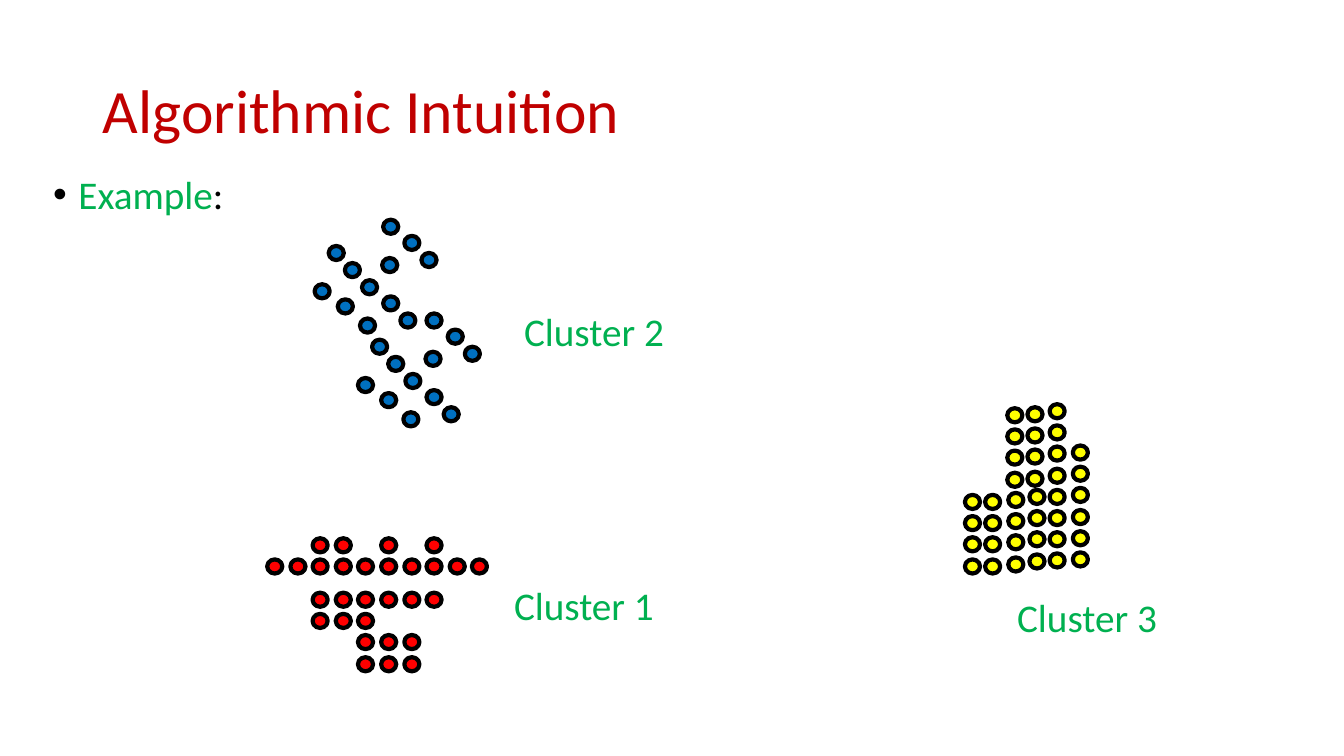
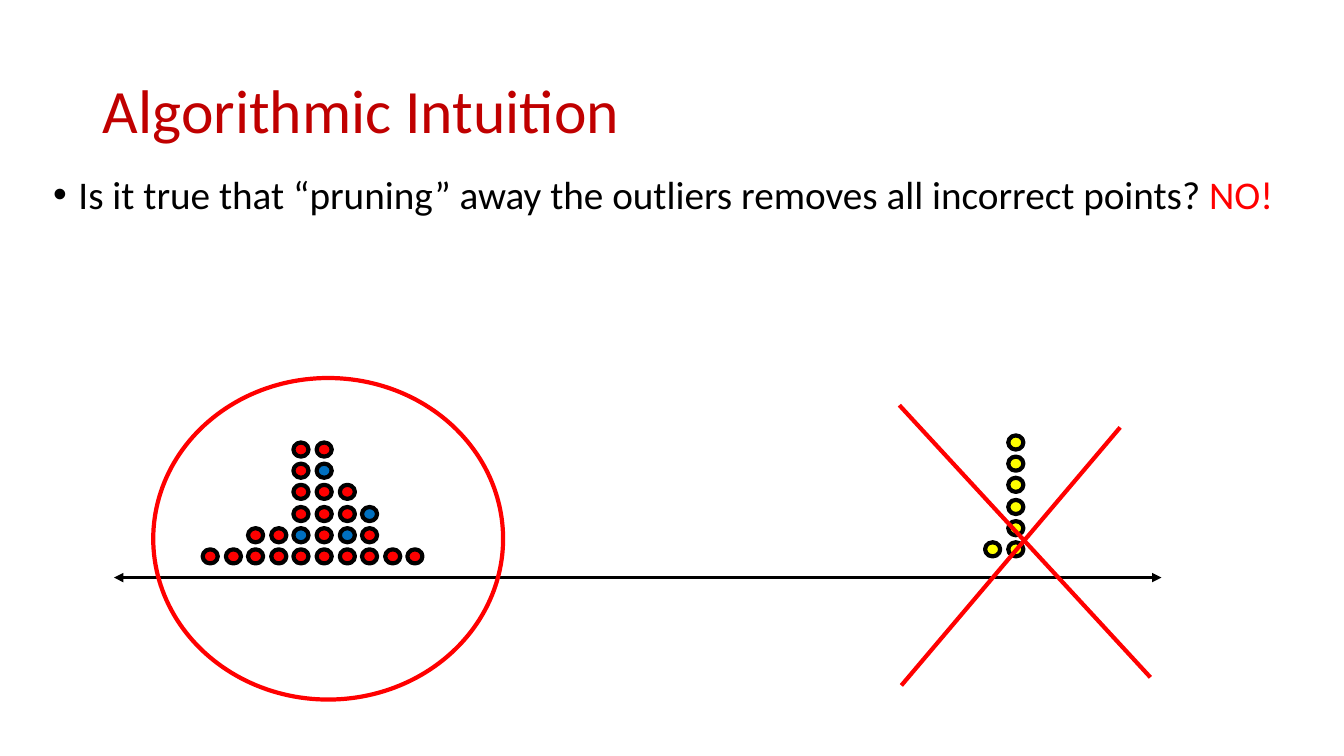
from pptx import Presentation
from pptx.dml.color import RGBColor
from pptx.enum.shapes import MSO_CONNECTOR, MSO_SHAPE
from pptx.enum.text import MSO_ANCHOR, MSO_AUTO_SIZE, PP_ALIGN
from pptx.oxml.ns import qn
from pptx.util import Emu, Pt
from lxml.etree import SubElement

PX = 9144  # 100 px to the inch
TITLE = "Algorithmic Intuition"
COLS = {"r": "FF0000", "b": "0070C0", "y": "FFFF00", "black": "000000",
        "green": "00B050", "title": "C00000"}

# Dot size and the pitch of the dot grids
WIDE, HIGH = 15, 14
STEP_X, STEP_Y = 22.6, 21.2


def px(*vals):
    return [Emu(round(val * PX)) for val in vals]


def hue(name):
    return RGBColor.from_string(COLS[name])


def apply(item, **vals):
    for key, val in vals.items():
        setattr(item, key, val)


class Deck:
    """Holds the shared style and the current slide."""

    font = {"name": "Calibri"}
    frame = {"word_wrap": True, "auto_size": MSO_AUTO_SIZE.NONE}

    def __init__(self):
        self.prs = Presentation()
        apply(self.prs, slide_width=px(1333)[0], slide_height=px(750)[0])

    def start(self, title):
        self.slide = self.prs.slides.add_slide(self.prs.slide_layouts[5])
        self.shapes = self.slide.shapes
        box = self.shapes.title
        left, top, width, height = px(92, 40, 1150, 145)
        apply(box, left=left, top=top, width=width, height=height)
        apply(box.text_frame, vertical_anchor=MSO_ANCHOR.MIDDLE, **self.frame)
        self.words(box, [(title, "title")], 44, 0.9)

    def words(self, box, runs, size, space=1.0):
        para = box.text_frame.paragraphs[0]
        apply(para, alignment=PP_ALIGN.LEFT, line_spacing=space)
        for text, tint in runs:
            run = para.add_run()
            run.text = text
            apply(run.font, size=Pt(size), **self.font)
            run.font.color.rgb = hue(tint)
        return para

    def text(self, area, runs, space=1.0):
        box = self.shapes.add_textbox(*px(*area))
        apply(box.text_frame, **self.frame)
        return self.words(box, runs, 28, space)

    def bullet(self, *runs):
        para = self.text((43, 169, 1247, 560), runs, 0.9)
        props = para._p.get_or_add_pPr()
        dent = px(25)[0]
        props.set("marL", str(dent))
        props.set("indent", str(-dent))
        tint = SubElement(props, qn("a:buClr"))
        SubElement(tint, qn("a:srgbClr"), val=COLS["black"])
        SubElement(props, qn("a:buFont"), typeface="Arial")
        SubElement(props, qn("a:buChar"), char="•")

    def label(self, left, top, text):
        self.text((left, top, 230, 57), [(text, "green")])

    def oval(self, area, edge, fill=None):
        oval = self.shapes.add_shape(MSO_SHAPE.OVAL, *px(*area))
        oval.shadow.inherit = False
        if fill:
            oval.fill.solid()
            oval.fill.fore_color.rgb = hue(fill)
        else:
            oval.fill.background()
        oval.line.color.rgb = hue(edge)
        oval.line.width = Pt(3)

    def dot(self, left, top, fill):
        self.oval((left, top, WIDE, HIGH), "black", fill)

    def grid(self, left, top, rows):
        """Draw one dot per letter; a full stop leaves a gap."""
        for row, line in enumerate(rows):
            for col, mark in enumerate(line):
                if mark != ".":
                    self.dot(left + round(col * STEP_X),
                             top + round(row * STEP_Y), mark)

    def line(self, ends, tint, width, heads=False):
        line = self.shapes.add_connector(MSO_CONNECTOR.STRAIGHT, *px(*ends))
        line.line.color.rgb = hue(tint)
        line.line.width = Pt(width)
        props = line._element.spPr
        if heads:
            for tag in ("a:headEnd", "a:tailEnd"):
                SubElement(props.find(qn("a:ln")), qn(tag), type="triangle")
        SubElement(props, qn("a:effectLst"))


def clusters(deck):
    deck.start(TITLE)
    deck.bullet(("Example", "green"), (":", "black"))

    # Red cluster: two blocks of rows
    deck.grid(265, 534, ["..rr.r.r", "rrrrrrrrrr"])
    deck.grid(265, 588, ["..rrrrrr", "..rrr", "....rrr", "....rrr"])

    # Blue cluster: one pattern drawn twice
    spots = [(312, 282), (335, 297), (357, 316), (380, 294), (397, 311),
             (326, 244), (342, 261), (359, 278), (379, 256), (401, 234),
             (418, 251), (380, 218)]
    for right, down in ((0, 0), (43, 93)):
        for left, top in spots:
            deck.dot(left + right, top + down, "b")

    # Yellow cluster: columns as left, top, count
    for left, top, count in ((957, 491, 4), (977, 491, 4), (1000, 489, 4),
                             (999, 405, 4), (1019, 404, 4), (1021, 486, 4),
                             (1041, 401, 8), (1064, 442, 6)):
        deck.grid(left, top, "y" * count)

    # Labels
    deck.label(500, 572, "Cluster 1")
    deck.label(510, 300, "Cluster 2")
    deck.label(999, 584, "Cluster 3")


def pruning(deck):
    deck.start(TITLE)
    deck.bullet(("Is it true that “pruning” away the outliers removes all "
                 "incorrect points? ", "black"), ("NO!", "r"))

    # Axis and stacked dots
    deck.line((113, 573, 1152, 573), "black", 2.25, heads=True)
    deck.grid(201, 439, ["....rr", "....rb", "....rrr", "....rrrb",
                         "..rrbrbr", "rrrrrrrrrr"])
    deck.grid(977, 432, [".y"] * 5 + ["yy"])

    # Kept points are ringed, outliers crossed out
    deck.line((1111, 424, 894, 680), "r", 3)
    deck.oval((152, 375, 347, 319), "r")
    deck.line((892, 402, 1141, 672), "r", 3)


def main():
    deck = Deck()
    clusters(deck)
    pruning(deck)
    deck.prs.save("out.pptx")


if __name__ == "__main__":
    main()
